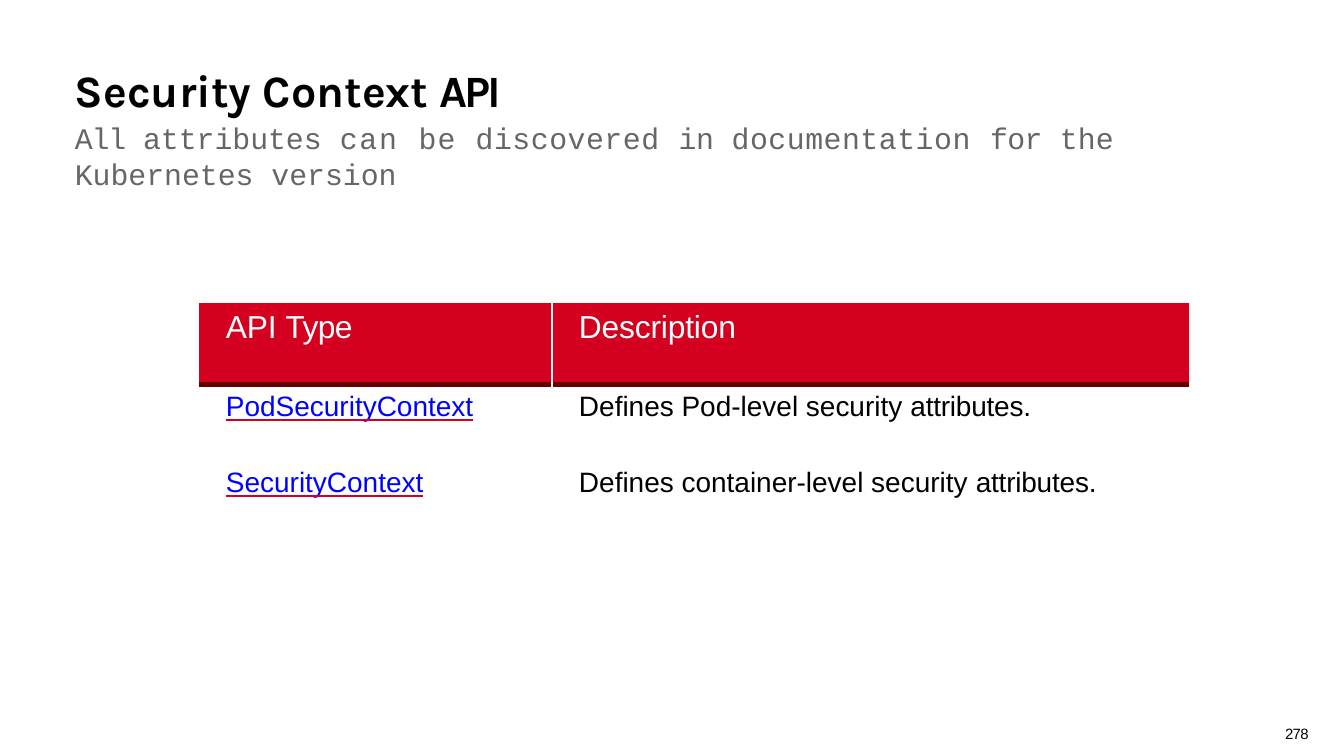
from lxml import etree
from pptx import Presentation
from pptx import util as u
from pptx.dml.color import RGBColor
from pptx.oxml import ns

BLACK = RGBColor(0, 0, 0)
WHITE = RGBColor(255, 255, 255)
GRAY = RGBColor(0x66, 0x66, 0x66)
LIGHT = RGBColor(0xF3, 0xF3, 0xF3)
RED = RGBColor(0xD3, 0x00, 0x20)
MAROON = RGBColor(0x66, 0, 0)
BLUE = RGBColor(0, 0, 255)

PX = 914400 / 134.4

SUBTITLE = [("All ", -0.6), ("attributes ", 0), ("can ", 1), ("be ", 0.6),
            ("discovered ", 0.3), ("in ", -0.2), ("documentation ", 0.3),
            ("for ", -0.3), ("the ", 0.1), ("Kubernetes version", 0)]
HEADERS = [[("API ", -0.1), ("Type", -0.3)], [("Description", -0.1)]]
TYPES = [[("PodSecurityContext", 0)], [("SecurityContext", 0)]]
DESCRIPTIONS = [[(f"Defines {level}-level security ", 0), ("attributes.", -0.1)]
                for level in ("Pod", "container")]


def px(length):
    return u.Emu(round(length * PX))


def add_fill(parent, color):
    fill = etree.SubElement(parent, ns.qn("a:solidFill"))
    etree.SubElement(fill, ns.qn("a:srgbClr")).set("val", str(color))


class SlideBuilder:
    def __init__(self, page):
        self.page = page

    def fill_paragraph(self, paragraph, spans, size, color, face="Arial",
                       bold=False, before=0):
        """Fill a paragraph with (wording, letter spacing in points) spans."""
        for wording, spacing in spans:
            span = paragraph.add_run()
            span.text = wording
            if spacing:
                span._r.get_or_add_rPr().set("spc", str(round(spacing * 100)))
        if before:
            paragraph.space_before = u.Pt(before)
        font = paragraph.font
        font.name, font.size, font.bold = face, u.Pt(size), bold
        font.color.rgb = color

    def underline(self, paragraph, color):
        paragraph.font.underline = True
        style = paragraph._p.pPr.find(ns.qn("a:defRPr"))
        line_fill = etree.Element(ns.qn("a:uFill"))
        add_fill(line_fill, color)
        style.find(ns.qn("a:solidFill")).addnext(line_fill)

    def text_box(self, left, top, width, height, inset):
        box = self.page.shapes.add_textbox(px(left), px(top), px(width), px(height))
        frame = box.text_frame
        frame.word_wrap = True
        frame.margin_left = frame.margin_right = frame.margin_bottom = 0
        frame.margin_top = px(inset)
        return frame

    def table(self, left, top, columns, rows):
        frame = self.page.shapes.add_table(len(rows), len(columns), px(left), px(top),
                                           px(sum(columns)), px(sum(rows)))
        table = frame.table
        for column, width in zip(table.columns, columns):
            column.width = px(width)
        for row, height in zip(table.rows, rows):
            row.height = px(height)
        return table

    def cell(self, cell, paragraphs, size, color, fill, borders, before=0):
        cell.margin_left = px(27)
        if fill is None:
            cell.fill.background()
        else:
            cell.fill.solid()
            cell.fill.fore_color.rgb = fill
        frame = cell.text_frame
        for index, spans in enumerate(paragraphs):
            paragraph = frame.add_paragraph() if index else frame.paragraphs[0]
            self.fill_paragraph(paragraph, spans, size, color,
                                before=before if index else 0)
        properties = cell._tc.get_or_add_tcPr()
        for index, side in enumerate("LRTB"):
            line = etree.Element(ns.qn(f"a:ln{side}"))
            if side in borders:
                border_color, points = borders[side]
                line.set("w", str(u.Pt(points)))
                add_fill(line, border_color)
            else:
                etree.SubElement(line, ns.qn("a:noFill"))
            properties.insert(index, line)
        return frame


def main():
    deck = Presentation()
    deck.slide_width, deck.slide_height = px(1344), px(756)
    page = deck.slides.add_slide(deck.slide_layouts[6])
    builder = SlideBuilder(page)

    heading = builder.text_box(75, 50, 1222, 134, inset=13)
    builder.fill_paragraph(heading.paragraphs[0],
                           [("Security Context ", 0), ("API", -1.8)],
                           24, BLACK, "Karla", bold=True)
    builder.fill_paragraph(heading.add_paragraph(), SUBTITLE, 16, GRAY,
                           "Courier New", before=1.5)

    table = builder.table(199, 303, columns=[353, 638], rows=[82, 163])
    thin, thick, hidden = (LIGHT, 0.75), (MAROON, 3), (WHITE, 0.75)
    header_borders = [{"R": thin, "B": thick}, {"L": thin, "R": thin, "B": thick}]
    body_borders = [{"T": thick, "R": hidden}, {"L": hidden, "T": thick, "R": hidden}]
    for column, spans in enumerate(HEADERS):
        builder.cell(table.cell(0, column), [spans], 17, WHITE, RED,
                     header_borders[column])
    for column, (entries, color) in enumerate([(TYPES, BLUE), (DESCRIPTIONS, BLACK)]):
        frame = builder.cell(table.cell(1, column), entries, 15, color, None,
                             body_borders[column], before=24)
        if entries is TYPES:
            for paragraph in frame.paragraphs:
                builder.underline(paragraph, RED)

    number = builder.text_box(1285, 722, 32, 20, inset=3)
    builder.fill_paragraph(number.paragraphs[0], [("278", -0.3)], 8, BLACK)
    deck.save("out.pptx")


if __name__ == "__main__":
    main()
